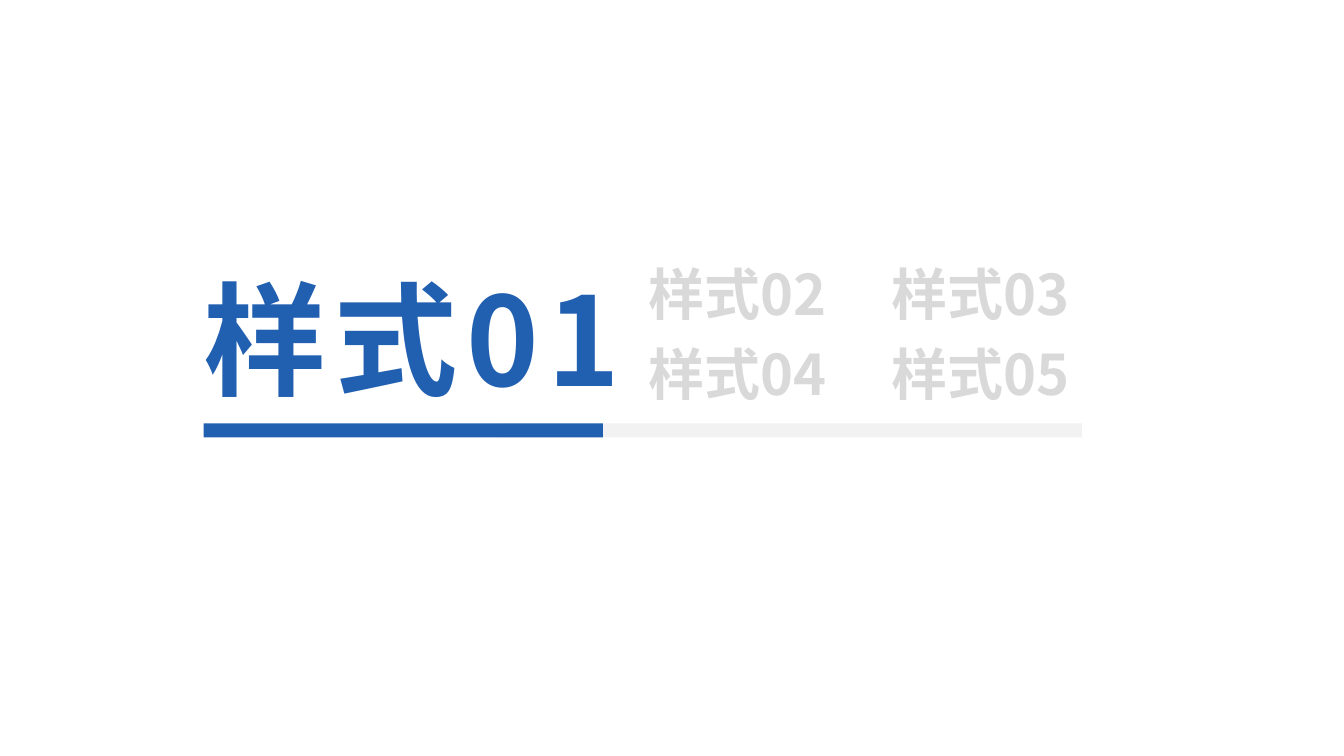
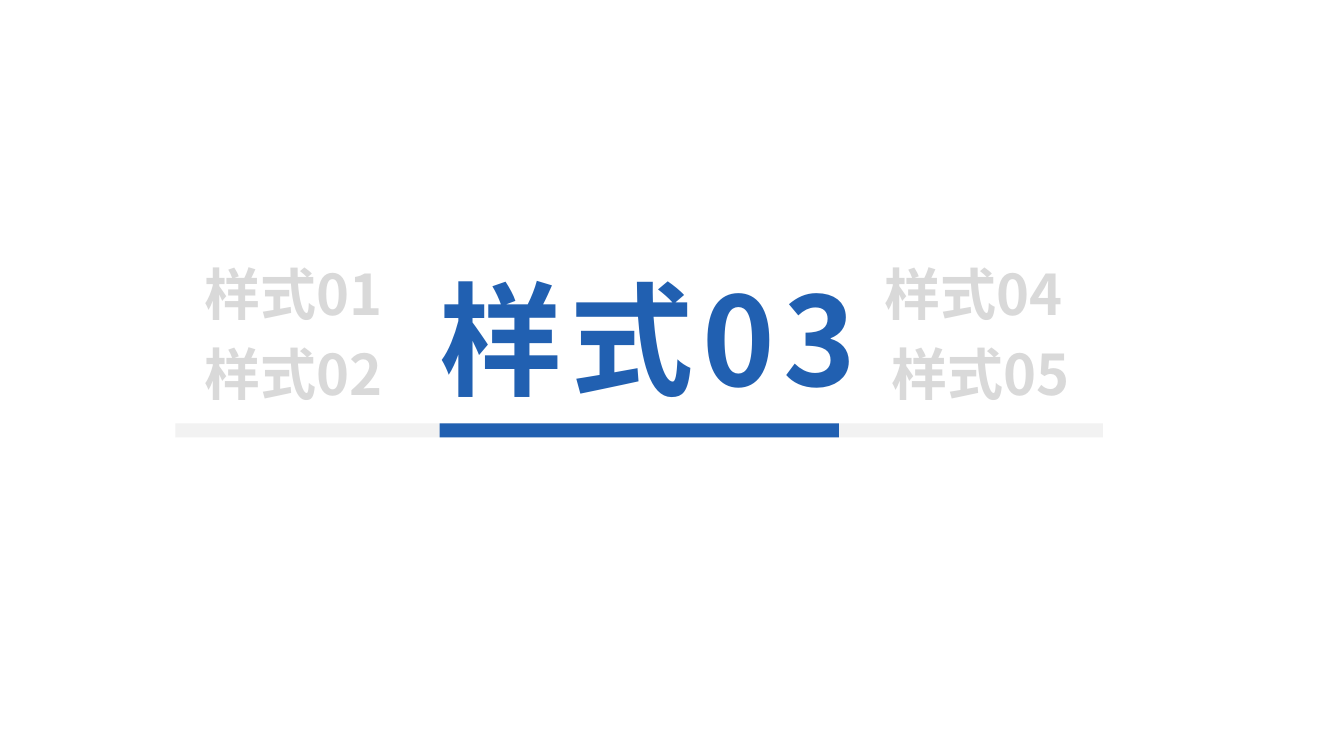
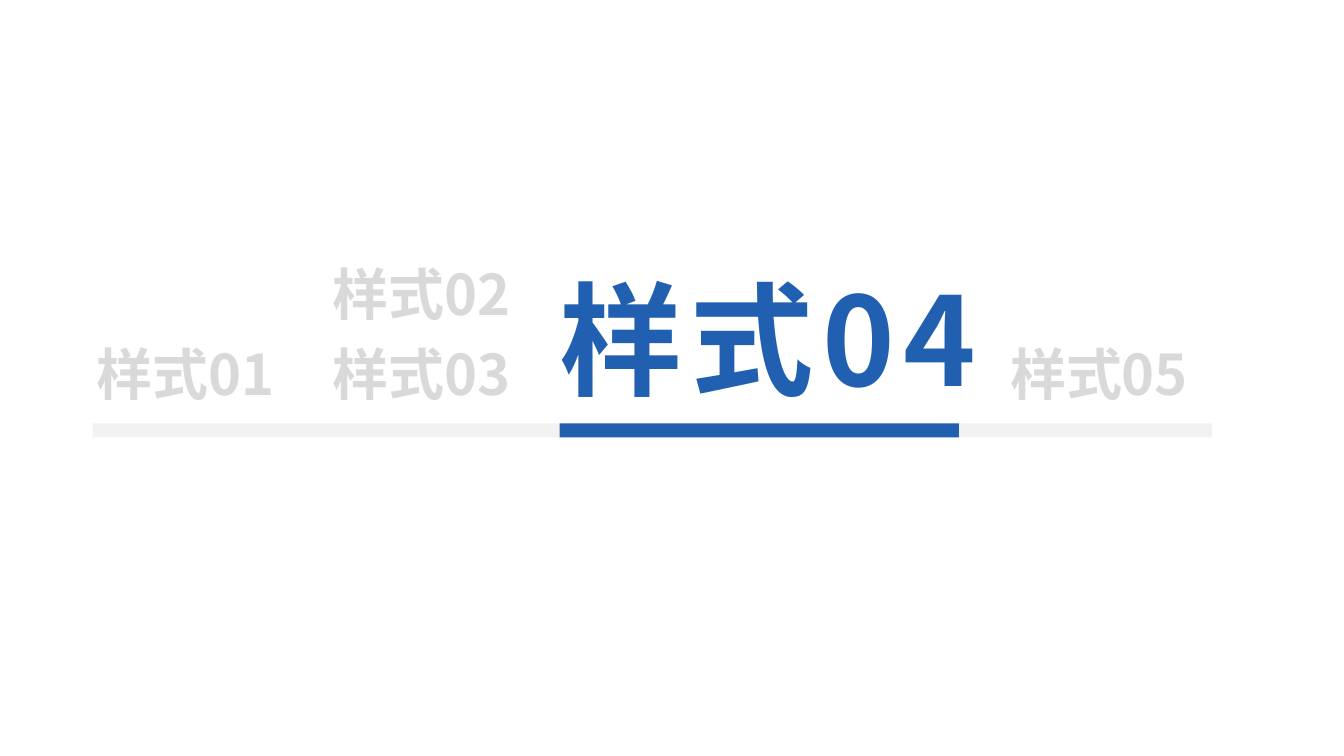
from lxml.etree import SubElement
from pptx import Presentation
from pptx.dml.color import RGBColor
from pptx.enum.shapes import MSO_SHAPE
from pptx.enum.text import MSO_ANCHOR, MSO_AUTO_SIZE, PP_ALIGN
from pptx.oxml.ns import qn
from pptx.util import Inches, Pt

COLORS = {"accent": "2160B1", "muted": "D9D9D9", "track": "F2F2F2"}
FONT = "Noto Sans CJK SC"
TITLE_TOP, TITLE_W, TITLE_H = 2.2, 4.45, 1.78
BAR_TOP, BAR_W, BAR_H, BAR_INSET = 4.2, 3.96, 0.14, 0.11
LABEL_TOP, LABEL_W, LABEL_H = 2.36, 2.14, 0.87
ROW_STEP, COL_STEP = 0.79, 2.34

SECTIONS = [
    {
        "title": "样式01", "left": 1.91, "track": (4.97, 5.76),
        "groups": [(6.36, [("样式02 ", 0, 0), ("样式03", 1, 0),
                           ("样式04 ", 0, 1), ("样式05", 1, 1)])],
    },
    {
        "title": "样式03", "left": 4.25, "track": (1.74, 9.2),
        "groups": [(1.89, [("样式01", 0, 0), ("样式02", 0, 1)]),
                   (8.7, [("样式04 ", 0, 0), ("样式05", 0, 1)])],
    },
    {
        "title": "样式04", "left": 5.44, "track": (0.92, 11.1),
        "groups": [(0.82, [("样式01", 0, 1), ("样式02", 1, 0), ("样式03", 1, 1)]),
                   (9.88, [("样式05", 0, 1)])],
    },
]


def place(sp, left, top, width, height):
    sp.left, sp.top = Inches(left), Inches(top)
    sp.width, sp.height = Inches(width), Inches(height)


def set_text(sp, text, size, color, spacing=0):
    tf = sp.text_frame
    tf.word_wrap = True
    tf.auto_size = MSO_AUTO_SIZE.SHAPE_TO_FIT_TEXT
    tf.vertical_anchor = MSO_ANCHOR.TOP
    tf.margin_left, tf.margin_right = 0, Inches(0.1)
    tf.margin_top = tf.margin_bottom = Inches(0.05)
    p = tf.paragraphs[0]
    p.alignment = PP_ALIGN.CENTER
    p.line_spacing = 1.25
    r = p.add_run()
    r.text = text
    r.font.size = Pt(size)
    r.font.bold = True
    r.font.name = FONT
    r.font.color.rgb = RGBColor.from_string(COLORS[color])
    rpr = r.font._element
    SubElement(rpr, qn("a:ea")).set("typeface", FONT)
    if spacing:
        rpr.set("spc", str(spacing * 100))


def add_bar(s, left, width, color):
    sp = s.shapes.add_shape(MSO_SHAPE.RECTANGLE, Inches(left), Inches(BAR_TOP),
                            Inches(width), Inches(BAR_H))
    sp.shadow.inherit = False
    sp.fill.solid()
    sp.fill.fore_color.rgb = RGBColor.from_string(COLORS[color])
    sp.line.fill.background()


def add_label(s, text, left, top):
    sp = s.shapes.add_textbox(0, 0, 0, 0)
    set_text(sp, text, 40, "muted")
    place(sp, left, top, LABEL_W, LABEL_H)


def add_section(prs, title, left, track, groups):
    s = prs.slides.add_slide(prs.slide_layouts[5])
    set_text(s.shapes.title, title, 88, "accent", spacing=6)
    place(s.shapes.title, left, TITLE_TOP, TITLE_W, TITLE_H)
    add_bar(s, *track, "track")
    add_bar(s, left + BAR_INSET, BAR_W, "accent")
    for group_left, labels in groups:
        for text, col, row in labels:
            add_label(s, text, group_left + col * COL_STEP, LABEL_TOP + row * ROW_STEP)


def main():
    prs = Presentation()
    prs.slide_width, prs.slide_height = Inches(13.33), Inches(7.5)
    for section in SECTIONS:
        add_section(prs, **section)
    prs.save("out.pptx")


if __name__ == "__main__":
    main()
